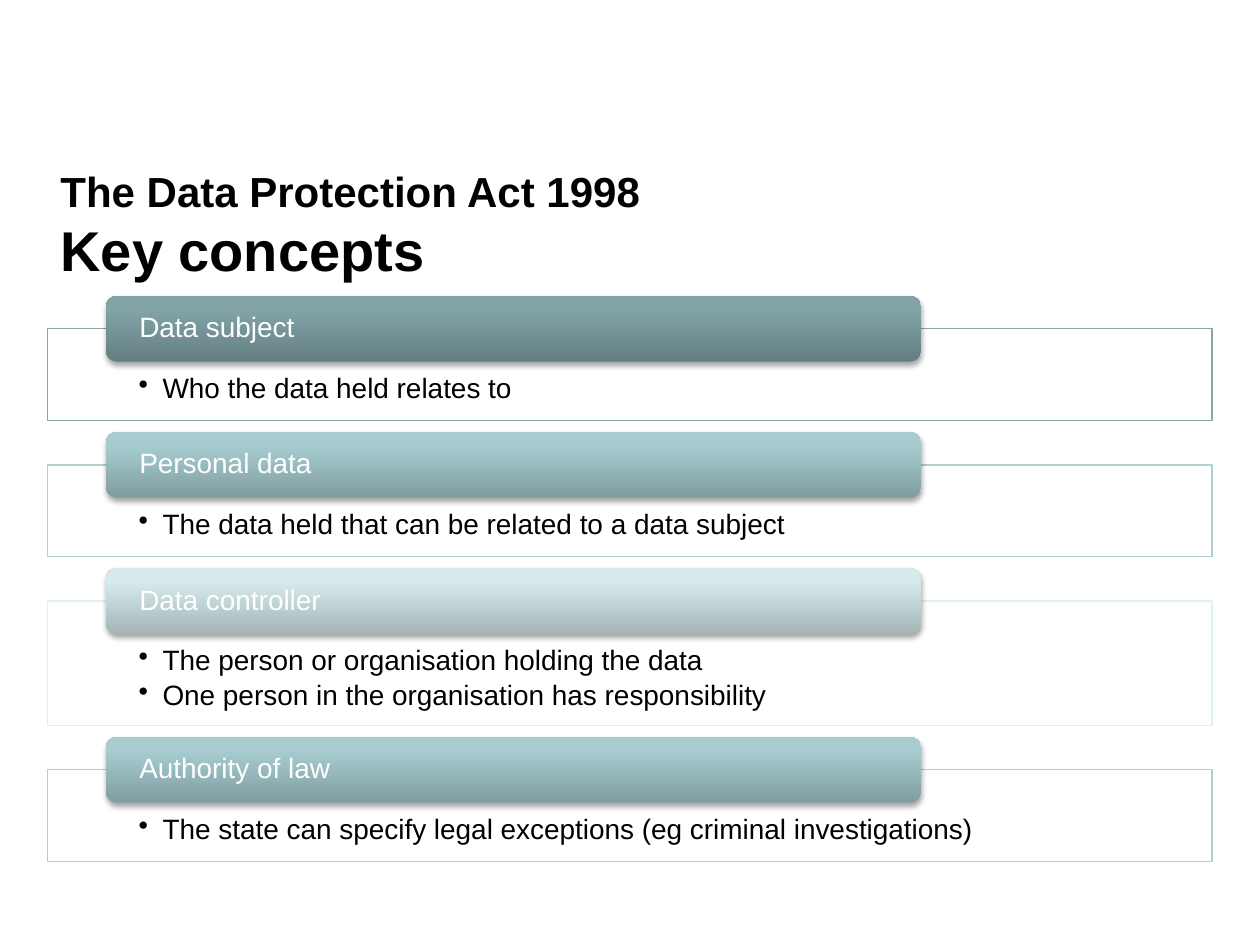
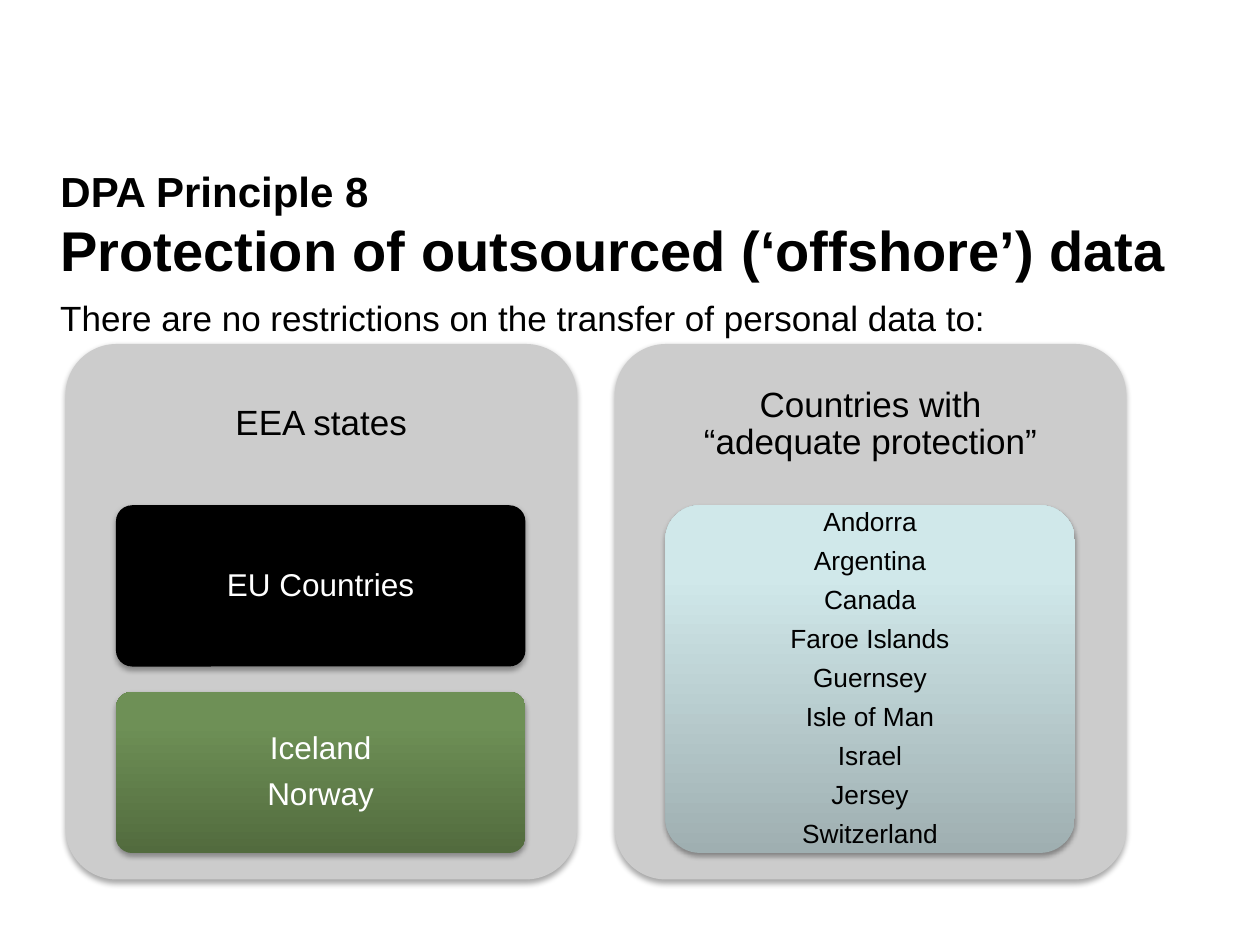
from lxml import etree
from pptx import Presentation
from pptx.dml.color import RGBColor
from pptx.enum.shapes import MSO_SHAPE
from pptx.enum.text import MSO_ANCHOR, MSO_AUTO_SIZE, PP_ALIGN
from pptx.oxml.ns import qn
from pptx.util import Inches, Pt

RECTANGLE, ROUNDED = MSO_SHAPE.RECTANGLE, MSO_SHAPE.ROUNDED_RECTANGLE
TOP, MIDDLE = MSO_ANCHOR.TOP, MSO_ANCHOR.MIDDLE
LEFT, CENTER = PP_ALIGN.LEFT, PP_ALIGN.CENTER
NO_FIT = MSO_AUTO_SIZE.NONE
TITLE_ONLY = 5
FONT = "Arial"

BLACK = RGBColor(0x00, 0x00, 0x00)
WHITE = RGBColor(0xFF, 0xFF, 0xFF)
PANEL_GREY = RGBColor(0xCC, 0xCC, 0xCC)
TEAL = (RGBColor(0x64, 0x7E, 0x81), RGBColor(0x82, 0xA4, 0xA7))
AQUA = (RGBColor(0x80, 0x9D, 0xA0), RGBColor(0xA6, 0xCC, 0xD0))
MIST = (RGBColor(0xA5, 0xB5, 0xB6), RGBColor(0xD6, 0xEA, 0xEC))
GREEN = (RGBColor(0x52, 0x6B, 0x3E), RGBColor(0x6E, 0x90, 0x56))
PALE = (RGBColor(0x9F, 0xAF, 0xB1), RGBColor(0xD0, 0xE8, 0xEA))
TEAL_LINE = RGBColor(0x8A, 0xA6, 0xA8)
AQUA_LINE = RGBColor(0xB0, 0xCF, 0xD1)
MIST_LINE = RGBColor(0xDF, 0xF0, 0xF1)

MARGIN = 0.38
CONTENT_WIDTH = 9.24
ROWS_TOP = 2.61
ROW_HEIGHT = 0.73
ROW_GAP = 0.35
BULLET_LINE = 0.26
PANEL_WIDTH, PANEL_HEIGHT = 4.06, 4.25
PANEL_STEP = 4.36
HEADING_HEIGHT = 1.28
CARDS_HEIGHT = 2.76
CARD_GAP = 0.2

CONCEPTS = [
    ("Data subject", ["Who the data held relates to"], TEAL, TEAL_LINE),
    ("Personal data", ["The data held that can be related to a data subject"], AQUA, AQUA_LINE),
    ("Data controller", ["The person or organisation holding the data",
                         "One person in the organisation has responsibility"], MIST, MIST_LINE),
    ("Authority of law", ["The state can specify legal exceptions (eg criminal investigations)"],
     AQUA, AQUA_LINE),
]
DESTINATIONS = [
    ("EEA states", [
        (["EU Countries"], (BLACK, BLACK), 18, WHITE),
        (["Iceland", "Norway"], GREEN, 18, WHITE)]),
    ("Countries with\n“adequate protection”", [
        (["Andorra", "Argentina", "Canada", "Faroe Islands", "Guernsey", "Isle of Man",
          "Israel", "Jersey", "Switzerland"], PALE, 15, BLACK)]),
]


def style_font(font, size, color, bold=False):
    font.name = FONT
    font.size = Pt(size)
    font.bold = bold
    font.color.rgb = color


def write_lines(shape, lines, size, color, anchor=MIDDLE, align=CENTER,
                insets=(0.05, 0.04, 0.05, 0.04), after=0.35, spacing=0.9):
    frame = shape.text_frame
    frame.word_wrap = True
    frame.vertical_anchor = anchor
    frame.margin_left, frame.margin_top, frame.margin_right, frame.margin_bottom = map(Inches, insets)
    for index, line in enumerate(lines):
        para = frame.add_paragraph() if index else frame.paragraphs[0]
        para.text = line
        para.alignment = align
        para.line_spacing = spacing
        para.space_after = Pt(round(after * size * 1.15, 1))
        style_font(para.font, size, color)
    return frame


def add_bullets(frame):
    for para in frame.paragraphs:
        properties = para._p.get_or_add_pPr()
        properties.set("marL", str(Inches(0.19)))
        properties.set("indent", str(-Inches(0.19)))
        bullet = etree.Element(qn("a:buChar"), char="•")
        properties.insert_element_before(bullet, "a:tabLst", "a:defRPr", "a:extLst")


def add_plain(page, kind, left, top, width, height, fill):
    shape = page.shapes.add_shape(kind, Inches(left), Inches(top), Inches(width), Inches(height))
    shape.shadow.inherit = False
    shape.line.fill.background()
    shape.fill.solid()
    shape.fill.fore_color.rgb = fill
    return shape


def add_raised(page, left, top, width, height, shades, corner):
    shape = add_plain(page, ROUNDED, left, top, width, height, shades[0])
    shape.adjustments[0] = corner
    if shades[0] != shades[1]:
        shape.fill.gradient()
        shape.fill.gradient_angle = 90
        for stop, shade, position in zip(shape.fill.gradient_stops, shades, (0, 0.8)):
            stop.color.rgb = shade
            stop.position = position
    effects = shape._element.spPr.find(qn("a:effectLst"))
    shadow = etree.SubElement(effects, qn("a:outerShdw"), blurRad=str(Pt(3.1)), dist=str(Pt(1.8)),
                              dir="5400000", rotWithShape="0")
    tint = etree.SubElement(shadow, qn("a:srgbClr"), val="000000")
    etree.SubElement(tint, qn("a:alpha"), val="35000")
    return shape


def add_text(page, left, top, width, height, text, **layout):
    box = page.shapes.add_textbox(Inches(left), Inches(top), Inches(width), Inches(height))
    write_lines(box, [text], 20, BLACK, **layout)


def add_titled_page(deck, topic, heading):
    page = deck.slides.add_slide(deck.slide_layouts[TITLE_ONLY])
    title = page.shapes.title
    title.left, title.top = Inches(MARGIN), Inches(1.4)
    title.width, title.height = Inches(CONTENT_WIDTH), Inches(0.76)
    frame = title.text_frame
    frame.auto_size = NO_FIT
    frame.word_wrap = True
    frame.vertical_anchor = MIDDLE
    para = frame.paragraphs[0]
    para.alignment = LEFT
    style_font(para.font, 24, BLACK, bold=True)
    para.add_run().text = topic
    para.add_line_break()
    span = para.add_run()
    span.text = heading
    span.font.size = Pt(32)
    return page


def add_concept(page, left, top, height, name, points, shades, line):
    outline = add_plain(page, RECTANGLE, left, top, CONTENT_WIDTH, height, WHITE)
    outline.line.color.rgb = line
    outline.line.width = Pt(0.75)
    frame = write_lines(outline, points, 16, BLACK, TOP, LEFT, (0.72, 0.36, 0.72, 0.12), after=0.15)
    add_bullets(frame)
    label = add_raised(page, left + 0.46, top - 0.26, 6.47, 0.52, shades, 0.17)
    write_lines(label, [name], 16, WHITE, align=LEFT, insets=(0.24, 0, 0.24, 0))


def add_panel(page, left, top, heading, cards):
    add_raised(page, left, top, PANEL_WIDTH, PANEL_HEIGHT, (PANEL_GREY, PANEL_GREY), 0.1)
    add_text(page, left, top, PANEL_WIDTH, HEADING_HEIGHT, heading, insets=(0.08,) * 4)
    height = (CARDS_HEIGHT - CARD_GAP * (len(cards) - 1)) / len(cards)
    for index, (lines, shades, size, color) in enumerate(cards):
        card_top = top + HEADING_HEIGHT + index * (height + CARD_GAP)
        card = add_raised(page, left + 0.4, card_top, 3.25, height, shades, 0.1)
        write_lines(card, lines, size, color)


def build_concepts(deck):
    page = add_titled_page(deck, "The Data Protection Act 1998", "Key concepts")
    top = ROWS_TOP
    for name, points, shades, line in CONCEPTS:
        height = ROW_HEIGHT + BULLET_LINE * (len(points) - 1)
        add_concept(page, MARGIN, top, height, name, points, shades, line)
        top += height + ROW_GAP


def build_offshore(deck):
    page = add_titled_page(deck, "DPA Principle 8", "Protection of outsourced (‘offshore’) data")
    add_text(page, MARGIN, 2.3, CONTENT_WIDTH, 0.42,
             "There are no restrictions on the transfer of personal data to:",
             anchor=TOP, align=LEFT, insets=(0.1, 0.05, 0.1, 0.05), after=0, spacing=1.0)
    for index, (heading, cards) in enumerate(DESTINATIONS):
        add_panel(page, 0.52 + index * PANEL_STEP, 2.73, heading, cards)


def main():
    deck = Presentation()
    deck.slide_width, deck.slide_height = Inches(10), Inches(7.5)
    build_concepts(deck)
    build_offshore(deck)
    deck.save("out.pptx")


if __name__ == "__main__":
    main()
